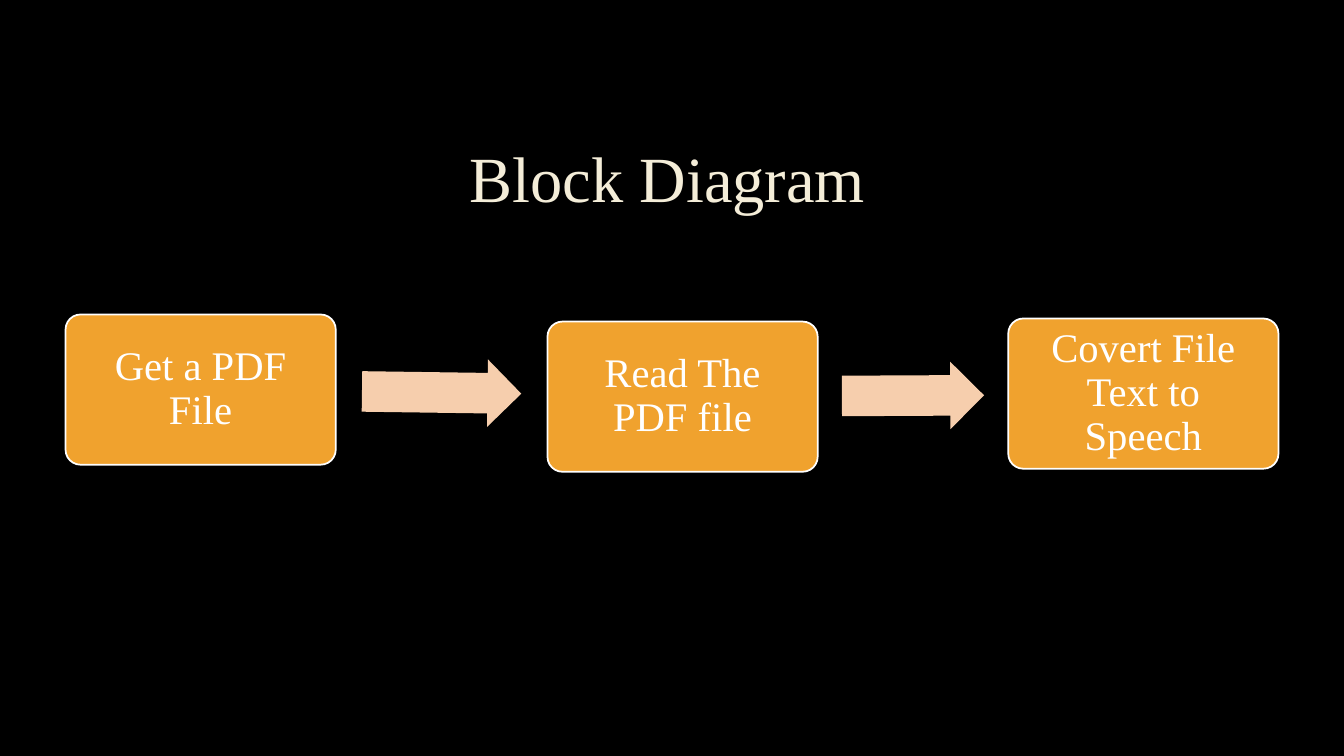
from pptx import Presentation
from pptx.dml.color import RGBColor
from pptx.enum.shapes import MSO_SHAPE as Shape
from pptx.enum.text import MSO_ANCHOR as Anchor, MSO_AUTO_SIZE as AutoSize, PP_ALIGN as Align
from pptx.util import Inches, Pt

FONT = "Times New Roman"
BLOCK_WIDTH, BLOCK_HEIGHT = 2.68, 1.49
ARROW_HEIGHT = 0.67

# Label, left, top
BLOCKS = [
    ("Get a PDF File", 0.65, 3.12),
    ("Read The PDF file", 5.43, 3.19),
    ("Covert File Text to Speech", 10, 3.16),
]
# Left, top, width, rotation
ARROWS = [
    (3.59, 3.56, 1.58, 0.8),
    (8.35, 3.59, 1.41, 359.7),
]


def colour(value):
    return RGBColor.from_string(value)


def write_text(box, text, size, text_colour, inset):
    frame = box.text_frame
    frame.text = text
    frame.word_wrap = True
    frame.auto_size = AutoSize.NONE
    frame.vertical_anchor = Anchor.MIDDLE
    frame.margin_left = frame.margin_right = Inches(inset)
    frame.margin_top = frame.margin_bottom = Inches(inset)
    para = frame.paragraphs[0]
    para.alignment = Align.CENTER
    para.line_spacing = 0.9
    font = para.runs[0].font
    font.name = FONT
    font.size = Pt(size)
    font.color.rgb = colour(text_colour)


def add_title(page, text):
    title = page.shapes.title
    title.left, title.top = Inches(0.96), Inches(1.11)
    title.width, title.height = Inches(11.32), Inches(1.38)
    write_text(title, text, 46, "F4EDD8", 0.05)


def add_filled_shape(page, kind, left, top, width, height, fill):
    shape = page.shapes.add_shape(
        kind, Inches(left), Inches(top), Inches(width), Inches(height))
    shape.shadow.inherit = False
    shape.fill.solid()
    shape.fill.fore_color.rgb = colour(fill)
    return shape


def add_block(page, label, left, top):
    block = add_filled_shape(page, Shape.ROUNDED_RECTANGLE, left, top,
                             BLOCK_WIDTH, BLOCK_HEIGHT, "F0A22E")
    block.adjustments[0] = 0.1
    block.line.color.rgb = colour("FFFFFF")
    block.line.width = Pt(1.25)
    write_text(block, label, 29, "FFFFFF", 0.16)


def add_arrow(page, left, top, width, rotation):
    arrow = add_filled_shape(page, Shape.RIGHT_ARROW, left, top,
                             width, ARROW_HEIGHT, "F6CEAD")
    arrow.adjustments[0] = 0.6
    arrow.adjustments[1] = 0.5
    arrow.rotation = rotation
    arrow.line.fill.background()


def main():
    deck = Presentation()
    deck.slide_width, deck.slide_height = Inches(13.33), Inches(7.5)

    # Title Only layout on black
    page = deck.slides.add_slide(deck.slide_layouts[5])
    page.background.fill.solid()
    page.background.fill.fore_color.rgb = colour("000000")
    add_title(page, "Block Diagram")

    # Process steps and the arrows between them
    for block in BLOCKS:
        add_block(page, *block)
    for arrow in ARROWS:
        add_arrow(page, *arrow)

    deck.save("out.pptx")


if __name__ == "__main__":
    main()
